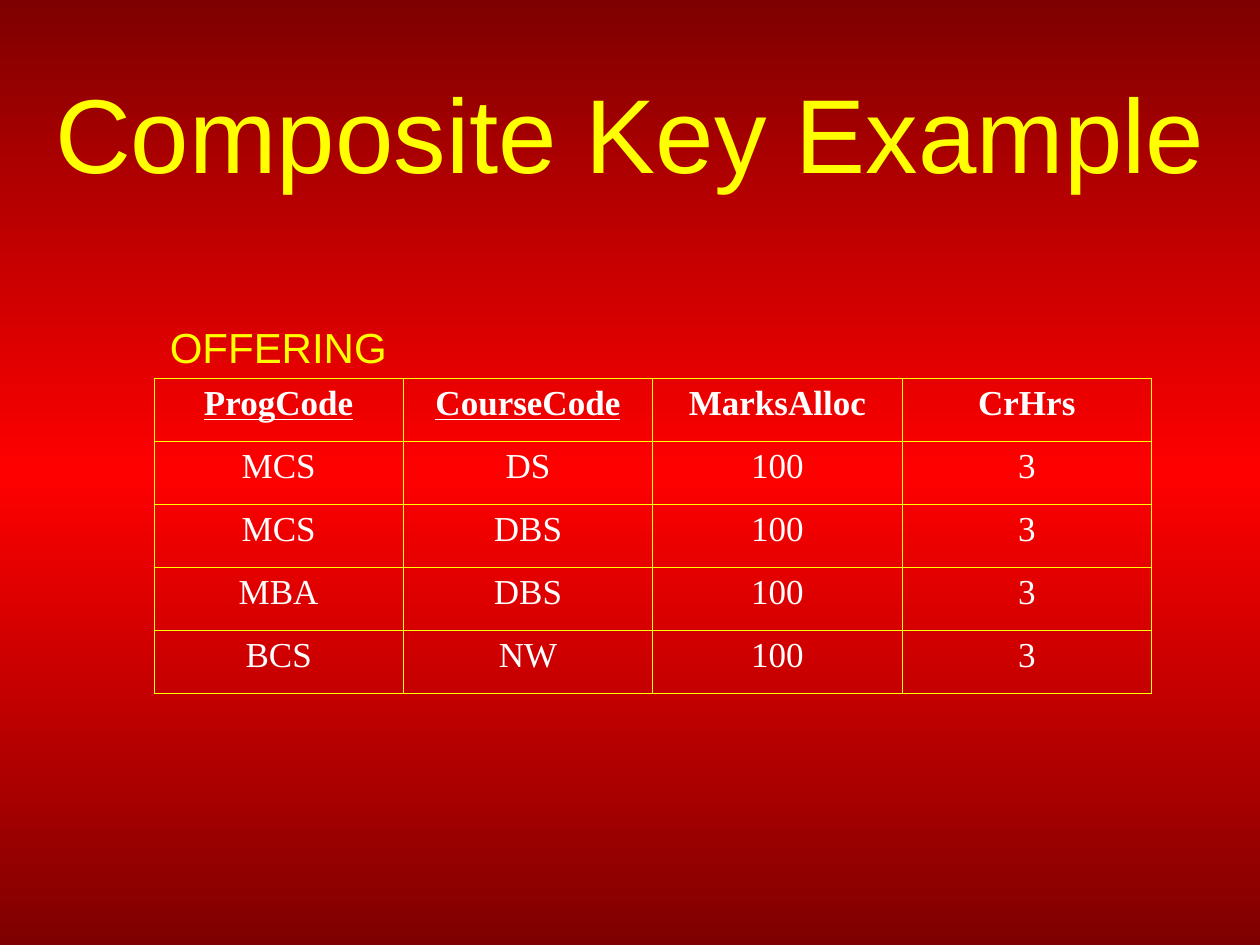
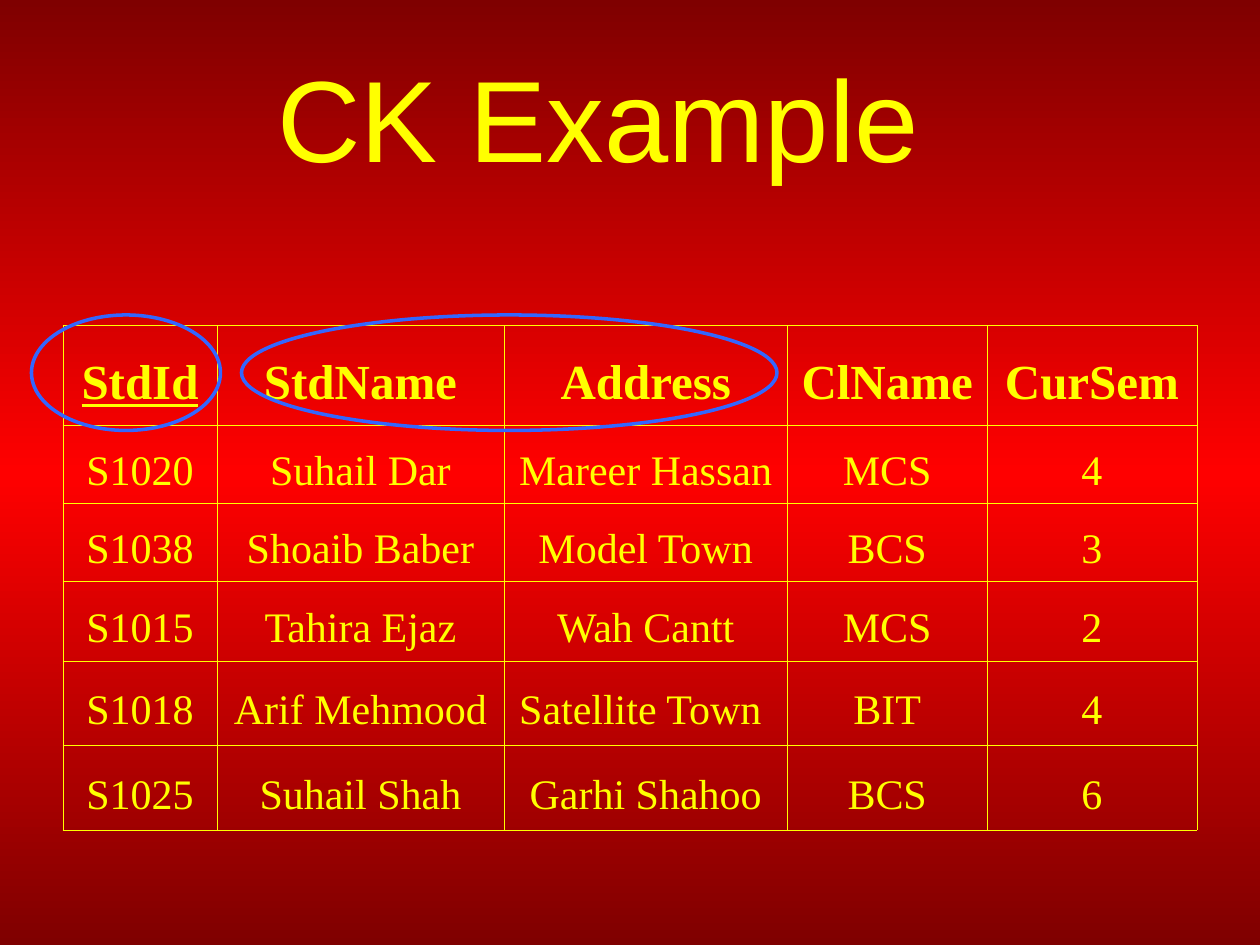
"""Build two slides on composite and candidate keys, each with a relation table."""

from copy import deepcopy
from dataclasses import dataclass

from lxml import etree
from pptx import Presentation
from pptx.dml.color import RGBColor
from pptx.enum.shapes import MSO_SHAPE
from pptx.enum.text import MSO_ANCHOR, MSO_AUTO_SIZE, PP_ALIGN
from pptx.oxml.ns import qn
from pptx.slide import Slide
from pptx.text.text import _Paragraph
from pptx.util import Pt

COLORS = {
    "edge": "7F0000",
    "middle": "FF0000",
    "accent": "FFFF00",
    "plain": "FFFFFF",
    "ring": "3366FF",
}
BACKDROP = ((0, "edge"), (0.5, "middle"), (1, "edge"))
SANS, SERIF = "Arial", "Times New Roman"
CENTER, LEFT = PP_ALIGN.CENTER, PP_ALIGN.LEFT
TOP, MIDDLE = MSO_ANCHOR.TOP, MSO_ANCHOR.MIDDLE
GROW = MSO_AUTO_SIZE.SHAPE_TO_FIT_TEXT
FIXED = MSO_AUTO_SIZE.NONE
OVAL = MSO_SHAPE.OVAL
BORDER_WIDTH = Pt(0.45)
BORDER_SIDES = ("a:lnL", "a:lnR", "a:lnT", "a:lnB")


@dataclass(frozen=True)
class Box:
    left: float
    top: float
    width: float
    height: float

    def lengths(self) -> tuple[Pt, Pt, Pt, Pt]:
        return Pt(self.left), Pt(self.top), Pt(self.width), Pt(self.height)


@dataclass(frozen=True)
class TextStyle:
    size: float
    font: str = SANS
    color: str = "accent"
    bold: bool = False


@dataclass(frozen=True)
class Caption:
    text: str
    box: Box
    style: TextStyle
    align: PP_ALIGN = CENTER
    anchor: MSO_ANCHOR = MIDDLE
    fit: MSO_AUTO_SIZE = FIXED
    space_before: float = 0


@dataclass(frozen=True)
class Relation:
    left: float
    top: float
    widths: tuple[float, ...]
    heights: tuple[float, ...]
    rows: tuple[tuple[str, ...], ...]
    key_columns: int
    header: TextStyle
    body: TextStyle
    anchor: MSO_ANCHOR
    line_spacing: float = 1.0


@dataclass(frozen=True)
class KeySlide:
    captions: tuple[Caption, ...]
    relation: Relation
    key_rings: tuple[Box, ...] = ()


OFFERING = Relation(
    left=88,
    top=216,
    widths=(142.5,) * 4,
    heights=(36,) * 5,
    rows=(
        ("ProgCode", "CourseCode", "MarksAlloc", "CrHrs"),
        ("MCS", "DS", "100", "3"),
        ("MCS", "DBS", "100", "3"),
        ("MBA", "DBS", "100", "3"),
        ("BCS", "NW", "100", "3"),
    ),
    key_columns=2,
    header=TextStyle(20, SERIF, "plain", bold=True),
    body=TextStyle(20, SERIF, "plain"),
    anchor=TOP,
)

STUDENT = Relation(
    left=36,
    top=186,
    widths=(88, 164, 162, 114, 120),
    heights=(56.8, 44.8, 44.8, 45.6, 48.2, 48.2),
    rows=(
        ("StdId", "StdName", "Address", "ClName", "CurSem"),
        ("S1020", "Suhail Dar", "Mareer Hassan", "MCS", "4"),
        ("S1038", "Shoaib Baber", "Model Town", "BCS", "3"),
        ("S1015", "Tahira Ejaz", "Wah Cantt", "MCS", "2"),
        ("S1018", "Arif Mehmood", "Satellite Town ", "BIT", "4"),
        ("S1025", "Suhail Shah", "Garhi Shahoo", "BCS", "6"),
    ),
    key_columns=1,
    header=TextStyle(28, SERIF, bold=True),
    body=TextStyle(24, SERIF),
    anchor=MIDDLE,
    line_spacing=1.3,
)

SLIDES = (
    KeySlide(
        captions=(
            Caption("OFFERING", Box(90, 180, 144, 36), TextStyle(24), LEFT, TOP, GROW, 15),
            Caption("Composite Key Example", Box(0, 30, 720, 90), TextStyle(60)),
        ),
        relation=OFFERING,
    ),
    KeySlide(
        captions=(Caption("CK Example", Box(0, 21.6, 684, 90), TextStyle(66)),),
        relation=STUDENT,
        key_rings=(Box(138, 180, 306, 66), Box(18, 180, 108, 66)),
    ),
)


def rgb(name: str) -> RGBColor:
    return RGBColor.from_string(COLORS[name])


def style_paragraph(
    paragraph: _Paragraph, style: TextStyle, align: PP_ALIGN, underline: bool = False
) -> None:
    paragraph.alignment = align
    for run in paragraph.runs:
        run.font.name = style.font
        run.font.size = Pt(style.size)
        run.font.bold = style.bold
        run.font.underline = underline
        run.font.color.rgb = rgb(style.color)


def paint_backdrop(slide: Slide) -> None:
    fill = slide.background.fill
    fill.gradient()
    fill.gradient_angle = 90
    stop_list = slide.element.find(".//" + qn("a:gsLst"))
    stop_list.append(deepcopy(stop_list[0]))
    for stop, (position, color) in zip(fill.gradient_stops, BACKDROP):
        stop.position = position
        stop.color.rgb = rgb(color)


def add_caption(slide: Slide, caption: Caption) -> None:
    frame = slide.shapes.add_textbox(*caption.box.lengths()).text_frame
    frame.word_wrap = True
    frame.auto_size = caption.fit
    frame.vertical_anchor = caption.anchor
    frame.text = caption.text
    paragraph = frame.paragraphs[0]
    paragraph.space_before = Pt(caption.space_before)
    style_paragraph(paragraph, caption.style, caption.align)


def add_borders(properties: etree._Element) -> None:
    for index, side in enumerate(BORDER_SIDES):
        line = etree.Element(qn(side), w=str(int(BORDER_WIDTH)))
        fill = etree.SubElement(line, qn("a:solidFill"))
        etree.SubElement(fill, qn("a:srgbClr"), val=COLORS["accent"])
        properties.insert(index, line)


def add_relation(slide: Slide, relation: Relation) -> None:
    box = Box(relation.left, relation.top, sum(relation.widths), sum(relation.heights))
    table = slide.shapes.add_table(
        len(relation.heights), len(relation.widths), *box.lengths()
    ).table
    table.first_row = False
    table.horz_banding = False
    for column, width in zip(table.columns, relation.widths):
        column.width = Pt(width)
    for row, height in zip(table.rows, relation.heights):
        row.height = Pt(height)
    for row_index, values in enumerate(relation.rows):
        is_header = row_index == 0
        style = relation.header if is_header else relation.body
        for column_index, value in enumerate(values):
            cell = table.cell(row_index, column_index)
            cell.fill.background()
            cell.vertical_anchor = relation.anchor
            add_borders(cell._tc.get_or_add_tcPr())
            cell.text_frame.text = value
            paragraph = cell.text_frame.paragraphs[0]
            paragraph.line_spacing = relation.line_spacing
            is_key = is_header and column_index < relation.key_columns
            style_paragraph(paragraph, style, CENTER, underline=is_key)


def add_key_ring(slide: Slide, box: Box) -> None:
    ring = slide.shapes.add_shape(OVAL, *box.lengths())
    ring.shadow.inherit = False
    ring.fill.background()
    ring.line.color.rgb = rgb("ring")
    ring.line.width = Pt(2)


def main() -> None:
    deck = Presentation()
    deck.slide_width, deck.slide_height = Pt(720), Pt(540)
    blank = deck.slide_layouts[6]
    for content in SLIDES:
        slide = deck.slides.add_slide(blank)
        paint_backdrop(slide)
        add_relation(slide, content.relation)
        for caption in content.captions:
            add_caption(slide, caption)
        for box in content.key_rings:
            add_key_ring(slide, box)
    deck.save("out.pptx")


if __name__ == "__main__":
    main()
